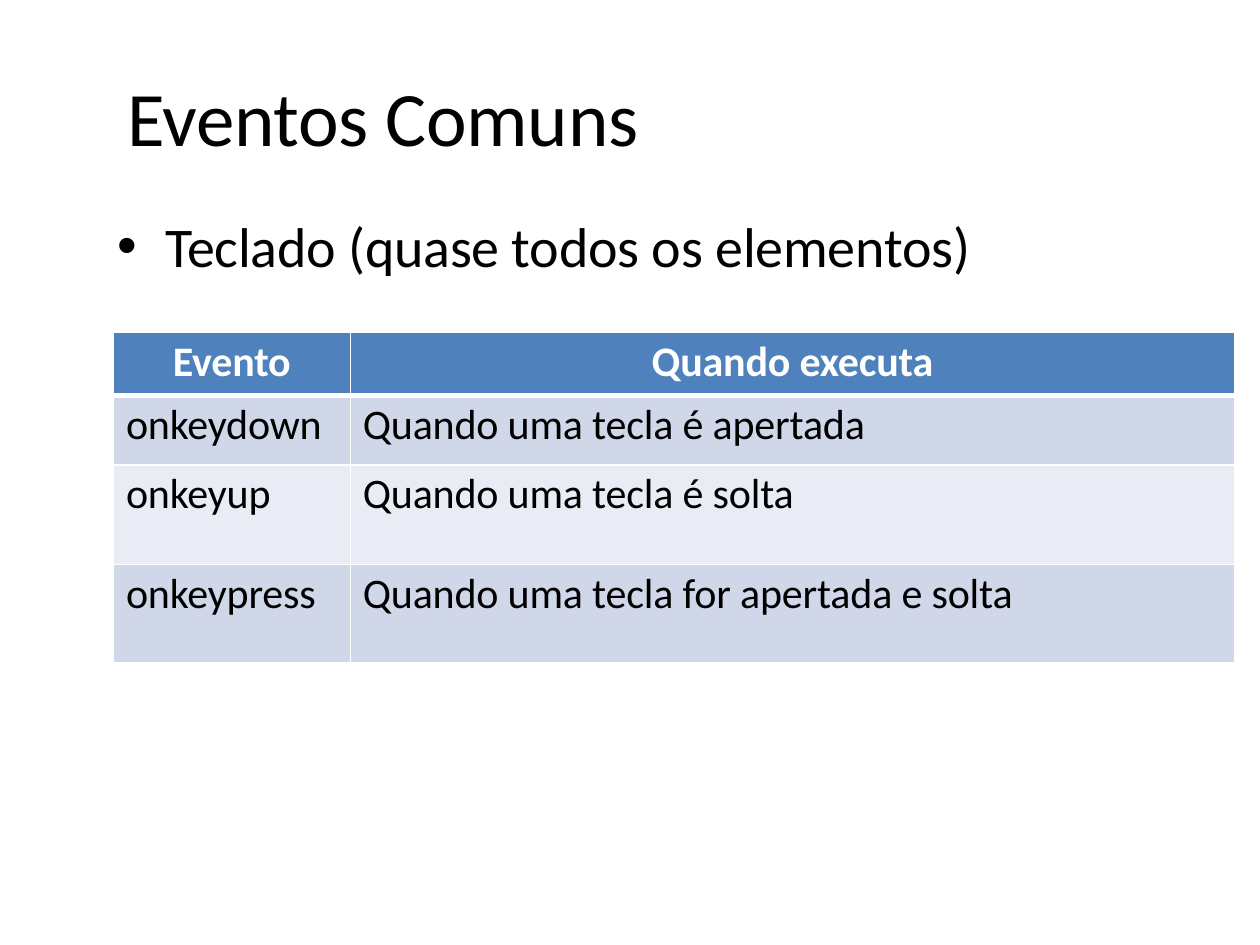
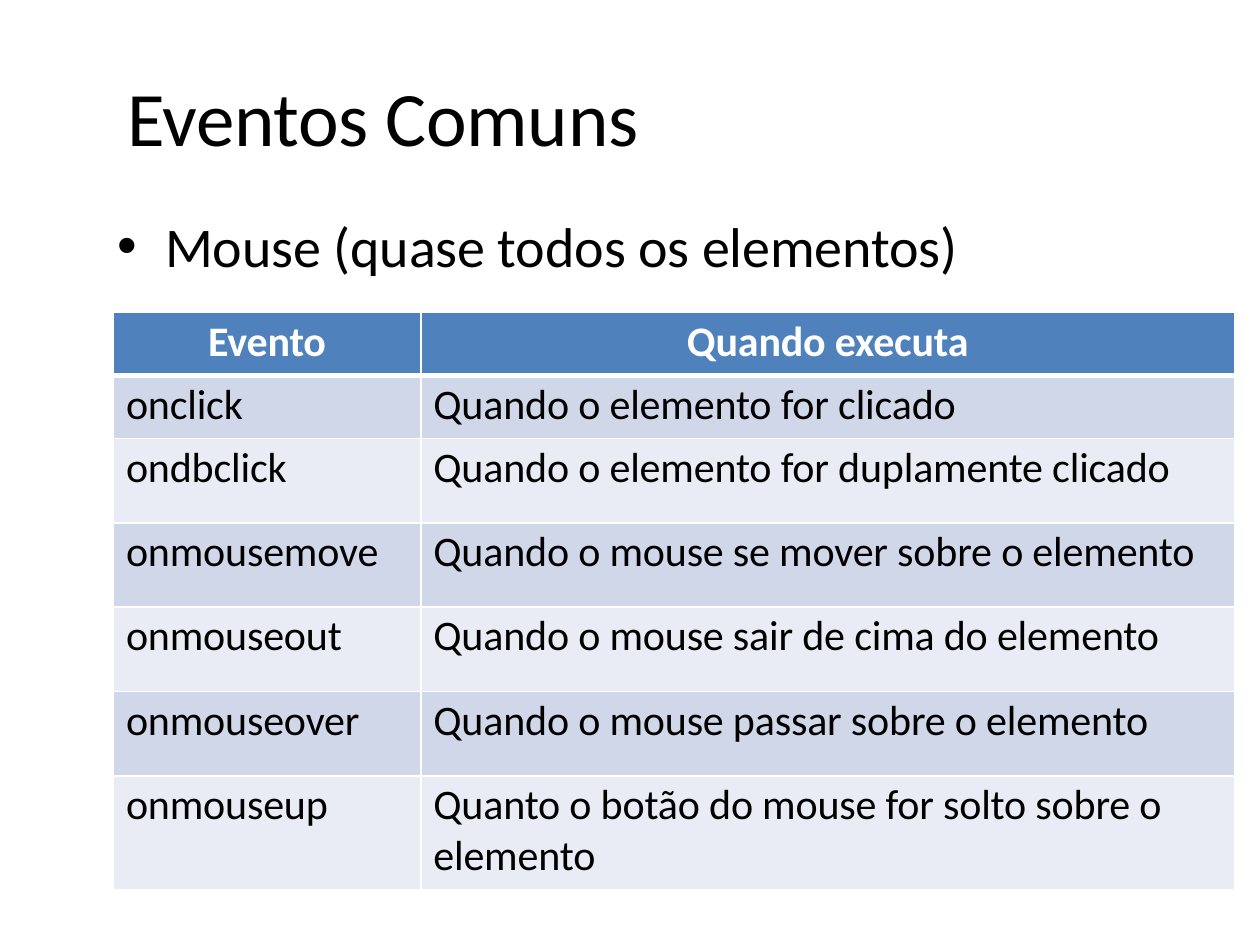
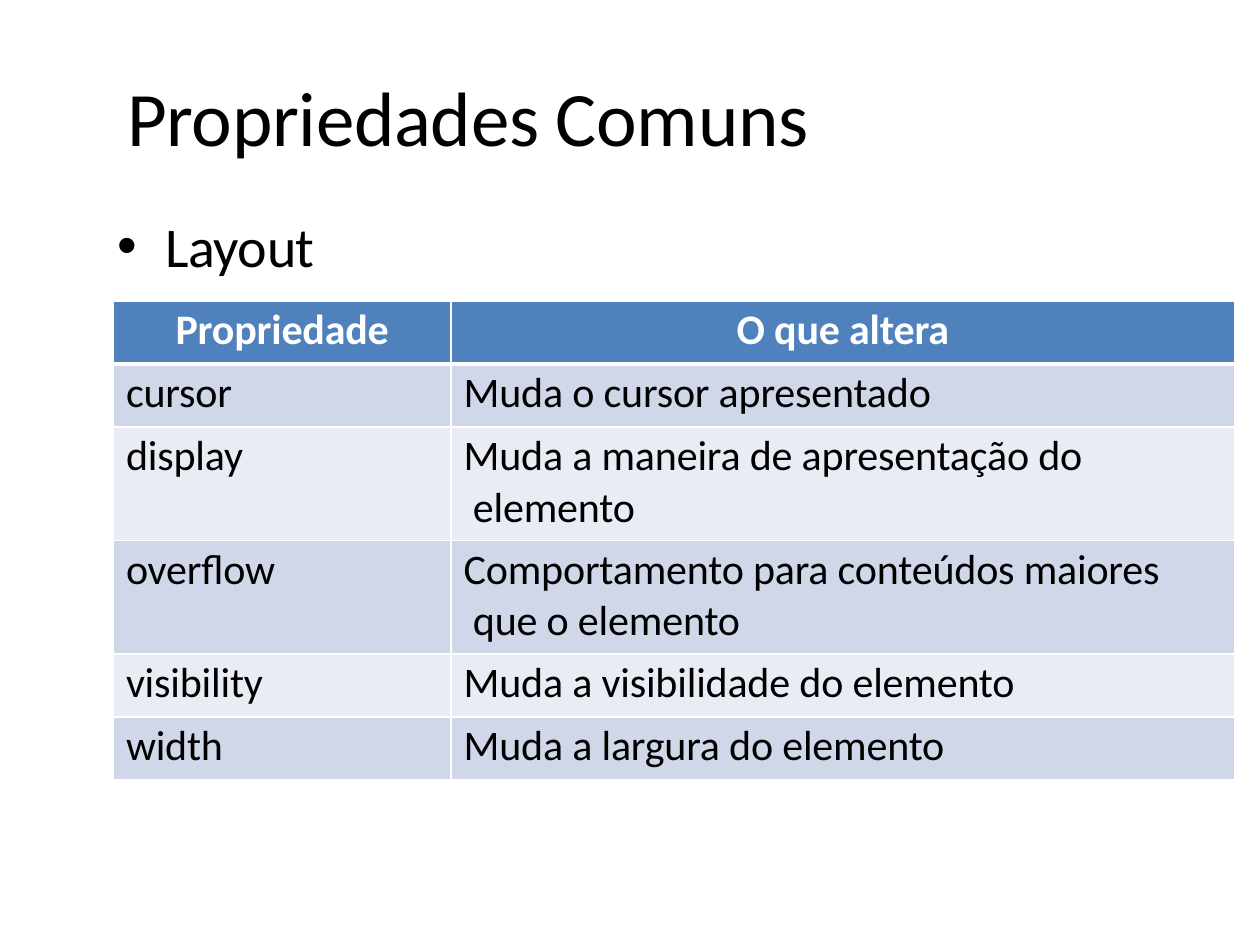
"""Build three slides with tables of common events and properties."""
import pptx
import pptx.dml.color
import pptx.enum.text
import pptx.oxml
import pptx.oxml.ns
import pptx.util

Inches = pptx.util.Inches
Pt = pptx.util.Pt
Align = pptx.enum.text.PP_ALIGN
Auto = pptx.enum.text.MSO_AUTO_SIZE

FONT = "Calibri"
BLACK, WHITE, BLUE = "000000", "FFFFFF", "4F81BC"
BANDS = "E9ECF4", "D0D7E8"
LEFT, WIDTH = 0.9, 8.9
EVENTS = "Evento", "Quando executa"

PAGES = [
    dict(title="Eventos Comuns", span=4.12,
         topic="Teclado (quase todos os elementos)", reach=6.86, track=-0.14,
         top=2.64, first=1.88, highs=[0.5, 0.55, 0.79, 0.78],
         rows=[EVENTS,
               ("onkeydown", "Quando uma tecla é apertada"),
               ("onkeyup", "Quando uma tecla é solta"),
               ("onkeypress", "Quando uma tecla for apertada e solta")]),
    dict(title="Eventos Comuns", span=4.12,
         topic="Mouse (quase todos os elementos)", reach=6.73, track=-0.08,
         top=2.48, first=2.44, highs=[0.5] * 2 + [0.67] * 4 + [0.9],
         rows=[EVENTS,
               ("onclick", "Quando o elemento for clicado"),
               ("ondbclick", "Quando o elemento for duplamente clicado"),
               ("onmousemove", "Quando o mouse se mover sobre o elemento"),
               ("onmouseout", "Quando o mouse sair de cima do elemento"),
               ("onmouseover", "Quando o mouse passar sobre o elemento"),
               ("onmouseup",
                "Quanto o botão do mouse for solto sobre o\nelemento")]),
    dict(title="Propriedades Comuns", span=5.49,
         topic="Layout", reach=1.61, track=-0.26,
         top=2.39, first=2.68, highs=[0.5, 0.5, 0.9, 0.9, 0.5, 0.5],
         rows=[("Propriedade", "O que altera"),
               ("cursor", "Muda o cursor apresentado"),
               ("display", "Muda a maneira de apresentação do\v elemento"),
               ("overflow",
                "Comportamento para conteúdos maiores\v que o elemento"),
               ("visibility", "Muda a visibilidade do elemento"),
               ("width", "Muda a largura do elemento")]),
]


def paint(value):
    return pptx.dml.color.RGBColor.from_string(value)


class Deck:
    def __init__(self):
        self.show = pptx.Presentation()
        self.show.slide_width, self.show.slide_height = Inches(10), Inches(7.5)

    def page(self):
        self.slide = self.show.slides.add_slide(self.show.slide_layouts[6])

    def style(self, para, size, color, track=-0.1, bold=False):
        font = para.font
        font.name, font.size, font.bold = FONT, Pt(size), bold
        font.color.rgb = paint(color)
        for run in para.runs:
            run._r.get_or_add_rPr().set("spc", str(round(track * 100)))

    def indent(self, para, left, first=0):
        props = para._p.get_or_add_pPr()
        props.set("marL", str(Inches(left)))
        props.set("indent", str(Inches(first)))
        return props

    def text(self, words, left, top, width, height, size, track):
        box = self.slide.shapes.add_textbox(
            Inches(left), Inches(top), Inches(width), Inches(height))
        frame = box.text_frame
        frame.word_wrap, frame.auto_size = True, Auto.SHAPE_TO_FIT_TEXT
        frame.margin_left = frame.margin_right = frame.margin_bottom = 0
        frame.margin_top = Inches(0.01)
        frame.text = words
        para = frame.paragraphs[0]
        para.space_before = Pt(1.1)
        self.style(para, size, BLACK, track)
        return para

    def title(self, words, width):
        para = self.text(words, 1, 0.54, width, 0.76, 44, -0.2)
        self.indent(para, 0.01)

    def bullet(self, words, width, track):
        para = self.text(words, 0.92, 1.67, width, 0.56, 32, track)
        props = self.indent(para, 0.39, -0.38)
        for tag, key, value in (("buFont", "typeface", "Arial"),
                                ("buChar", "char", "•")):
            mark = pptx.oxml.parse_xml(
                f'<a:{tag} {pptx.oxml.ns.nsdecls("a")} {key}="{value}"/>')
            props.insert_element_before(mark, "a:tabLst", "a:defRPr")

    def border(self, cell, row):
        props = cell._tc.get_or_add_tcPr()
        sizes = dict(L=1, R=1, T=3 if row == 1 else 1, B=1 if row else 3)
        for spot, (side, size) in enumerate(sizes.items()):
            props.insert(spot, pptx.oxml.parse_xml(
                f'<a:ln{side} {pptx.oxml.ns.nsdecls("a")} w="{Pt(size)}">'
                f'<a:solidFill><a:srgbClr val="{WHITE}"/></a:solidFill>'
                f'</a:ln{side}>'))

    def cell(self, cell, words, row):
        cell.margin_left = cell.margin_right = cell.margin_bottom = 0
        cell.margin_top = Inches(0.03)
        cell.fill.solid()
        cell.fill.fore_color.rgb = paint(BANDS[row % 2] if row else BLUE)
        self.border(cell, row)
        cell.text = words
        paras = cell.text_frame.paragraphs
        paras[0].space_before = Pt(2.1)
        for para in paras:
            self.style(para, 24, BLACK if row else WHITE, bold=not row)
            if row:
                self.indent(para, 0.1)
            else:
                para.alignment = Align.CENTER

    def table(self, rows, top, first, highs):
        table = self.slide.shapes.add_table(
            len(rows), 2, Inches(LEFT), Inches(top),
            Inches(WIDTH), Inches(sum(highs))).table
        for col, width in zip(table.columns, (first, WIDTH - first)):
            col.width = Inches(width)
        for row, (pair, high) in enumerate(zip(rows, highs)):
            table.rows[row].height = Inches(high)
            for col, words in enumerate(pair):
                self.cell(table.cell(row, col), words, row)


def main():
    deck = Deck()
    for page in PAGES:
        deck.page()
        deck.title(page["title"], page["span"])
        deck.bullet(page["topic"], page["reach"], page["track"])
        deck.table(page["rows"], page["top"], page["first"], page["highs"])
    deck.show.save("out.pptx")


if __name__ == "__main__":
    main()
